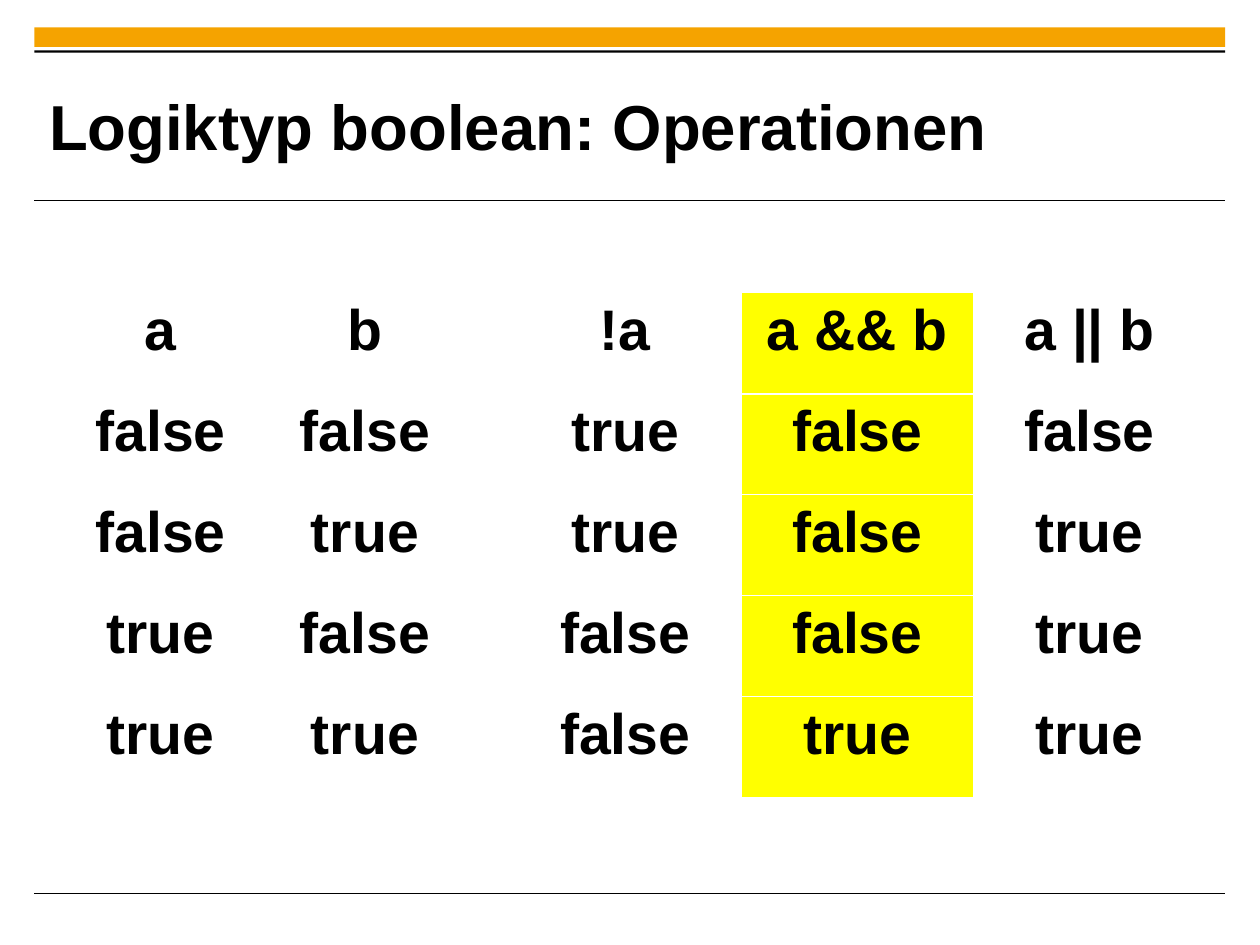
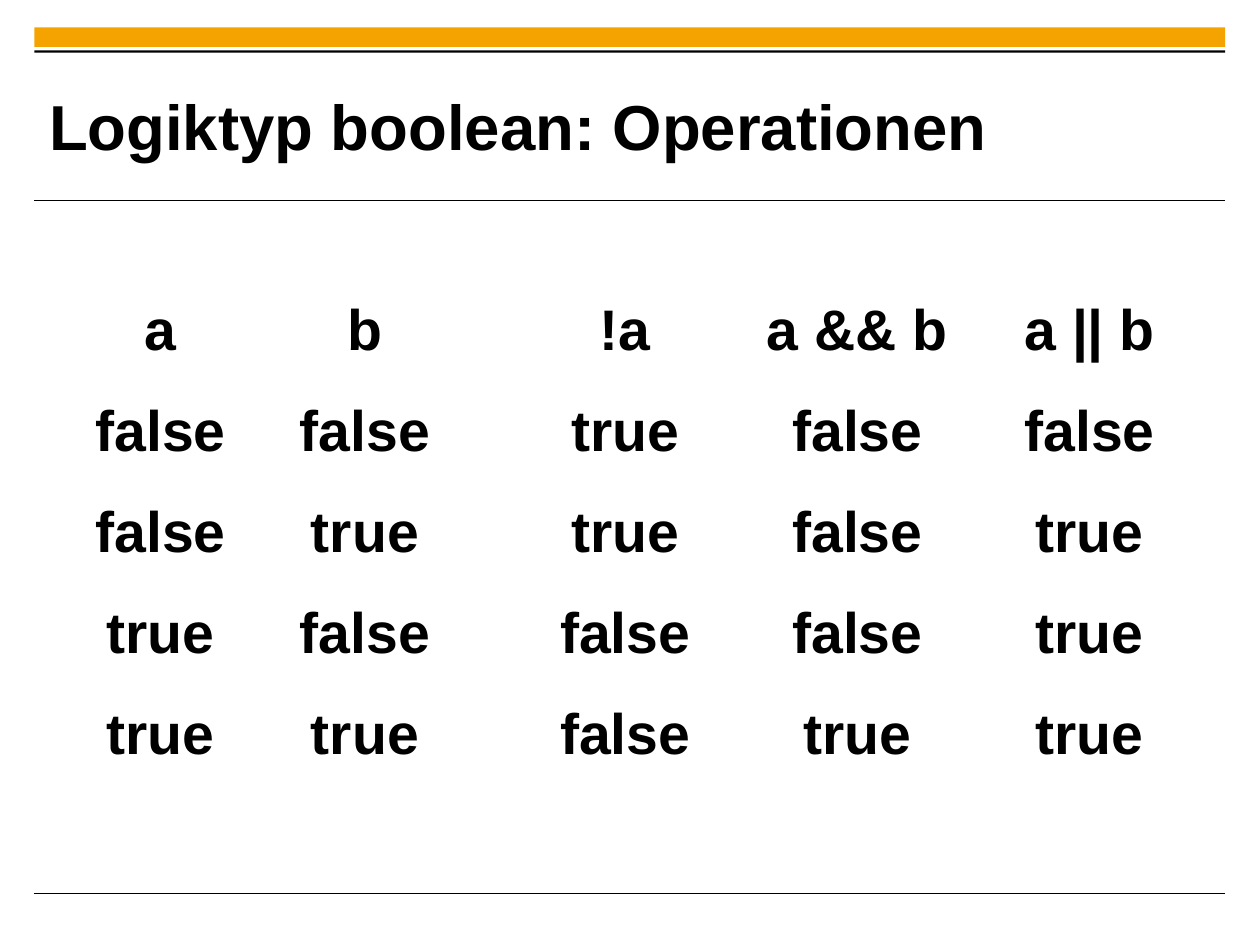
from dataclasses import dataclass

from lxml import etree
from pptx import Presentation
from pptx.dml.color import RGBColor
from pptx.enum.shapes import MSO_CONNECTOR, MSO_SHAPE
from pptx.enum.text import MSO_ANCHOR, MSO_AUTO_SIZE, PP_ALIGN
from pptx.oxml.ns import qn
from pptx.util import Inches, Pt

LEFT, CENTER = PP_ALIGN.LEFT, PP_ALIGN.CENTER
RECTANGLE, STRAIGHT = MSO_SHAPE.RECTANGLE, MSO_CONNECTOR.STRAIGHT
MIDDLE, NO_AUTO_SIZE = MSO_ANCHOR.MIDDLE, MSO_AUTO_SIZE.NONE


@dataclass(frozen=True)
class Theme:
    font: str = "Arial"
    text: str = "000000"
    accent: str = "F5A300"
    paper: str = "FFFFFF"
    highlight: str = "FFFF00"
    title_size: float = 40
    table_size: float = 36
    rule_width: float = 0.6
    border_width: float = 0.45
    header_border_width: float = 1.47


theme = Theme()


def write_text(frame, text, *, size, align=LEFT, color=theme.text, bold=True):
    paragraph = frame.paragraphs[0]
    paragraph.alignment = align
    run = paragraph.add_run()
    run.text = text
    run.font.name = theme.font
    run.font.size = Pt(size)
    run.font.bold = bold
    run.font.color.rgb = RGBColor.from_string(color)


def add_borders(cell, widths):
    properties = cell._tc.get_or_add_tcPr()
    for side, width in widths.items():
        line = etree.SubElement(properties, qn(f"a:ln{side}"), w=str(int(Pt(width))))
        fill = etree.SubElement(line, qn("a:solidFill"))
        etree.SubElement(fill, qn("a:srgbClr"), val=theme.paper)


# Shared frame: bands as (top, height, colour), rules as heights on the slide
FRAME_LEFT, FRAME_WIDTH = 0.3, 10.42
BANDS = [(0.24, 0.17, theme.accent), (0.44, 0.02, theme.text)]
RULES = [1.75, 7.82]

# Truth table
TITLE = "Logiktyp boolean: Operationen"
TRUTH_TABLE = [
    ["a", "b", "!a", "a && b", "a || b"],
    ["false", "false", "true", "false", "false"],
    ["false", "true", "true", "false", "true"],
    ["true", "false", "false", "false", "true"],
    ["true", "true", "false", "true", "true"],
]
TABLE_WIDTH, TABLE_HEIGHT = 10.16, 4.42
ROW_COUNT, COLUMN_COUNT = len(TRUTH_TABLE), len(TRUTH_TABLE[0])
OPERAND_B_COLUMN = 1

# Column fills of each slide; None leaves a column unfilled
COLUMN_FILLS = [
    [theme.paper] * 3 + [theme.highlight, theme.paper],
    [theme.paper] * 4 + [None],
]

# Slide size in points, which gives it exactly; the template's 4:3 type is dropped
presentation = Presentation()
presentation.slide_width = Pt(793.75)
presentation.slide_height = Pt(595.25)
presentation.element.sldSz.attrib.pop("type", None)
title_only = presentation.slide_layouts[5]

for column_fills in COLUMN_FILLS:
    slide = presentation.slides.add_slide(title_only)

    # Bands and rules
    for top, height, color in BANDS:
        band = slide.shapes.add_shape(
            RECTANGLE, Inches(FRAME_LEFT), Inches(top), Inches(FRAME_WIDTH), Inches(height))
        band.shadow.inherit = False
        band.fill.solid()
        band.fill.fore_color.rgb = RGBColor.from_string(color)
        band.line.fill.background()
    for top in RULES:
        rule = slide.shapes.add_connector(
            STRAIGHT, Inches(FRAME_LEFT), Inches(top),
            Inches(FRAME_LEFT + FRAME_WIDTH), Inches(top))
        rule.line.width = Pt(theme.rule_width)
        rule.line.color.rgb = RGBColor.from_string(theme.text)
        etree.SubElement(rule._element.spPr, qn("a:effectLst"))

    # Title
    title = slide.shapes.title
    title.left, title.top = Inches(0.43), Inches(0.59)
    title.width, title.height = Inches(8.29), Inches(1.01)
    frame = title.text_frame
    frame.margin_left = frame.margin_right = frame.margin_top = frame.margin_bottom = 0
    frame.vertical_anchor = MIDDLE
    frame.auto_size = NO_AUTO_SIZE
    frame.word_wrap = True
    write_text(frame, TITLE, size=theme.title_size)

    # Table
    table = slide.shapes.add_table(
        ROW_COUNT, COLUMN_COUNT, Inches(0.39), Inches(2.56),
        Inches(TABLE_WIDTH), Inches(TABLE_HEIGHT)).table
    table.first_row = table.horz_banding = False
    for column in table.columns:
        column.width = Inches(TABLE_WIDTH / COLUMN_COUNT)
    for row_index, values in enumerate(TRUTH_TABLE):
        table.rows[row_index].height = Inches(TABLE_HEIGHT / ROW_COUNT)
        widths = dict.fromkeys("LRTB", theme.border_width)
        if row_index < 2:
            widths["BT"[row_index]] = theme.header_border_width
        for column_index, value in enumerate(values):
            cell = table.cell(row_index, column_index)
            add_borders(cell, widths)
            fill_color = column_fills[column_index]
            if fill_color:
                cell.fill.solid()
                cell.fill.fore_color.rgb = RGBColor.from_string(fill_color)
            else:
                cell.fill.background()
            if column_index == OPERAND_B_COLUMN:
                cell.margin_right = Inches(0.59)
            write_text(cell.text_frame, value, size=theme.table_size, align=CENTER)

presentation.save("out.pptx")
